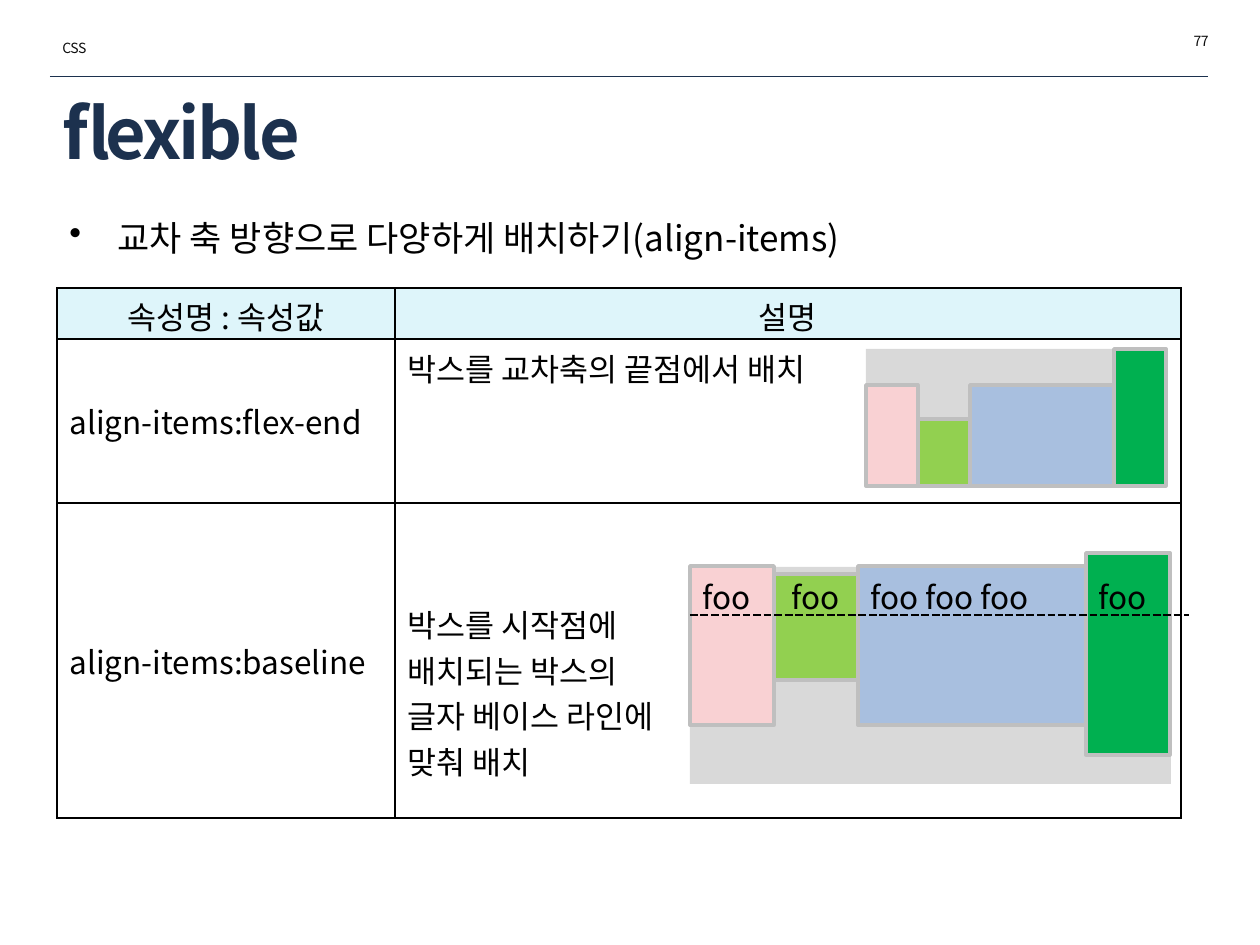
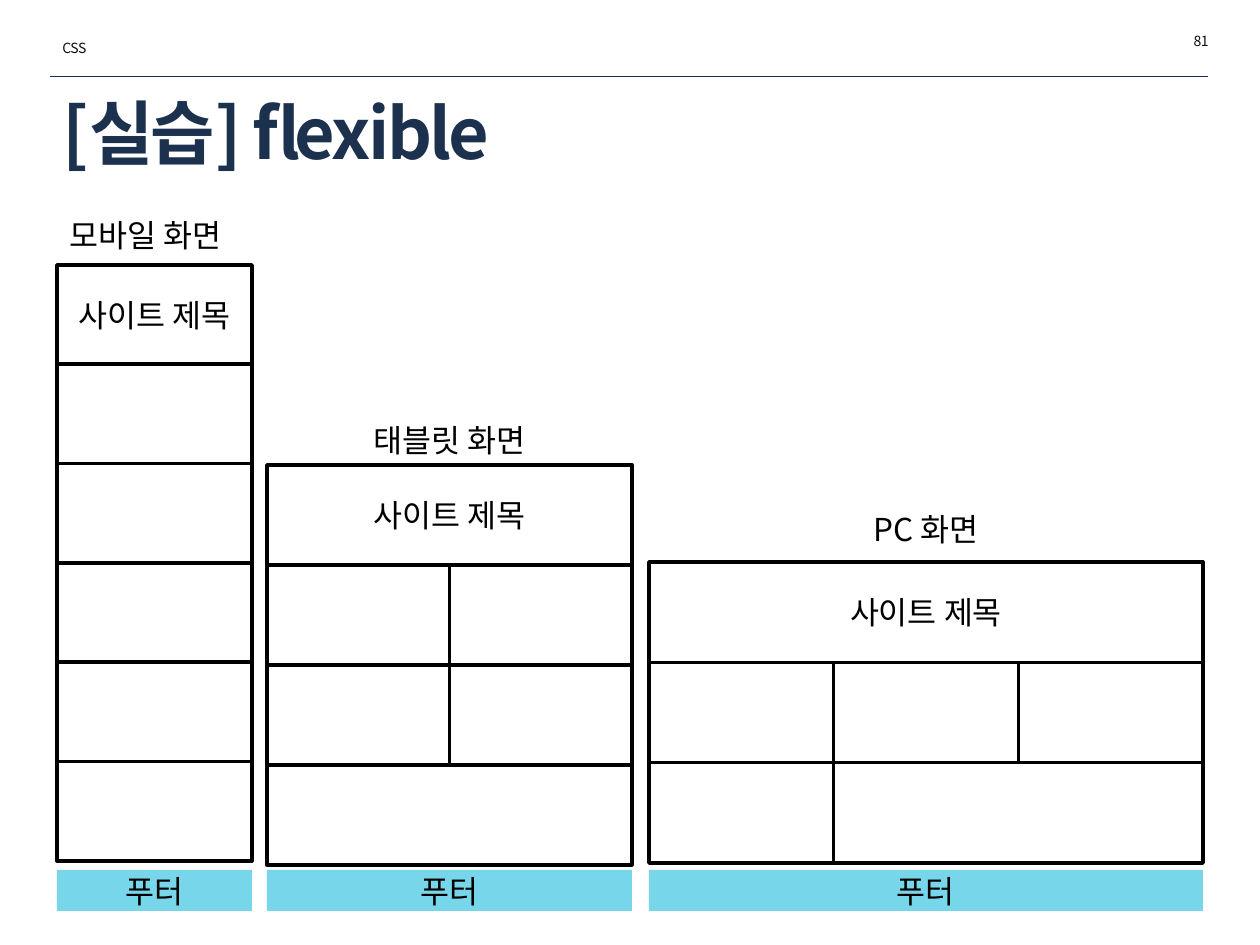
from pptx import Presentation
from pptx.dml.color import RGBColor
from pptx.enum.dml import MSO_LINE
from pptx.enum.shapes import MSO_CONNECTOR, MSO_SHAPE
from pptx.enum.text import MSO_ANCHOR, PP_ALIGN
from pptx.oxml.xmlchemy import OxmlElement
from pptx.util import Emu, Pt

RECT = MSO_SHAPE.RECTANGLE
STRAIGHT = MSO_CONNECTOR.STRAIGHT
DASH = MSO_LINE.SQUARE_DOT
TOP, MIDDLE = MSO_ANCHOR.TOP, MSO_ANCHOR.MIDDLE
LEFT, CENTER, RIGHT = PP_ALIGN.LEFT, PP_ALIGN.CENTER, PP_ALIGN.RIGHT

FONT = "Noto Sans CJK KR"
NAVY = RGBColor(0x1C, 0x31, 0x4E)
INK = RGBColor(0x0D, 0x0D, 0x0D)
BLACK = RGBColor(0, 0, 0)
WHITE = RGBColor(255, 255, 255)
HEAD_FILL = RGBColor(0xDE, 0xF5, 0xFA)
FOOTER_FILL = RGBColor(0x78, 0xD6, 0xEA)
CONTAINER = RGBColor(0xD9, 0xD9, 0xD9)
ITEM_LINE = RGBColor(0xBF, 0xBF, 0xBF)
ITEM_FILLS = [RGBColor(0xF9, 0xD1, 0xD3), RGBColor(0x92, 0xD0, 0x50),
              RGBColor(0xA8, 0xBF, 0xDF), RGBColor(0, 0xB0, 0x50)]
FOOTER_TOP, FOOTER_H = 870, 41
LABEL_H = 50


def px(n):
    return Emu(round(n * 914400 / 126))


def write(tf, text, size=18, color=BLACK, align=LEFT, anchor=TOP, bold=False, spc=0):
    tf.text = text
    tf.word_wrap = True
    tf.vertical_anchor = anchor
    for p in tf.paragraphs:
        p.alignment = align
        for r in p.runs:
            r.font.size, r.font.bold = Pt(size), bold
            r.font.color.rgb = color
            r.font.name = FONT
            rPr = r.font._element
            ea = OxmlElement("a:ea")
            ea.set("typeface", FONT)
            rPr.append(ea)
            if spc:
                rPr.set("spc", str(spc))


def add_text(s, box, text, **style):
    tf = s.shapes.add_textbox(*map(px, box)).text_frame
    write(tf, text, **style)
    return tf


def add_rect(s, box, fill, line=None, text=""):
    sp = s.shapes.add_shape(RECT, *map(px, box))
    sp.shadow.inherit = False
    sp.fill.solid()
    sp.fill.fore_color.rgb = fill
    if line is None:
        sp.line.fill.background()
    else:
        sp.line.color.rgb = line
        sp.line.width = Pt(2)
    if text:
        write(sp.text_frame, text, align=CENTER, anchor=MIDDLE)


def add_line(s, x1, x2, y, color, width):
    c = s.shapes.add_connector(STRAIGHT, px(x1), px(y), px(x2), px(y))
    c.line.color.rgb = color
    c.line.width = Pt(width)
    c._element.spPr.append(OxmlElement("a:effectLst"))
    return c


def add_page(prs, title, number):
    """Slide with the shared running header, rule and title."""
    s = prs.slides.add_slide(prs.slide_layouts[5])
    add_line(s, 50, 1208, 76, NAVY, 0.25)
    sp = s.shapes.title
    sp.left, sp.top, sp.width, sp.height = map(px, (50, 91, 1153, 81))
    write(sp.text_frame, title, size=40, color=NAVY, anchor=MIDDLE, bold=True, spc=-150)
    add_text(s, (1003, 26, 218, 30), number, size=8, color=INK, align=RIGHT, spc=-30)
    add_text(s, (50, 33, 218, 30), "CSS", size=8, color=INK, spc=-30)
    return s


def add_bullet(s, box, text):
    tf = add_text(s, box, text, size=20)
    pPr = tf.paragraphs[0]._p.get_or_add_pPr()
    pPr.set("marL", str(px(48)))
    pPr.set("indent", str(px(-48)))
    bu = OxmlElement("a:buChar")
    bu.set("char", "•")
    pPr.append(bu)


def set_borders(cell):
    tcPr = cell._tc.get_or_add_tcPr()
    for i, side in enumerate(("a:lnL", "a:lnR", "a:lnT", "a:lnB")):
        ln = OxmlElement(side)
        ln.set("w", str(Pt(1)))
        fill = OxmlElement("a:solidFill")
        clr = OxmlElement("a:srgbClr")
        clr.set("val", str(BLACK))
        fill.append(clr)
        ln.append(fill)
        tcPr.insert(i, ln)


def add_property_table(s, left, top):
    col_widths, row_heights = (338, 786), (51, 164, 315)
    rows = [
        ("속성명 : 속성값", "설명"),
        ("align-items:flex-end", "박스를 교차축의 끝점에서 배치"),
        ("align-items:baseline",
         "박스를 시작점에\n배치되는 박스의\n글자 베이스 라인에\n맞춰 배치"),
    ]
    tbl = s.shapes.add_table(3, 2, px(left), px(top), px(sum(col_widths)),
                             px(sum(row_heights))).table
    tbl.first_row = tbl.horz_banding = False
    for col, w in zip(tbl.columns, col_widths):
        col.width = px(w)
    for i, (row, h) in enumerate(zip(tbl.rows, row_heights)):
        row.height = px(h)
        for j, cell in enumerate(row.cells):
            write(cell.text_frame, rows[i][j], align=LEFT if i else CENTER)
            cell.vertical_anchor = MIDDLE if i and j == 0 else TOP
            if i == 0:
                cell.margin_top, cell.margin_bottom = px(5), 0
                cell.fill.solid()
                cell.fill.fore_color.rgb = HEAD_FILL
            else:
                cell.fill.background()
            set_borders(cell)
    tbl.cell(2, 1).margin_top = px(98)


def add_flex_items(s, box, widths, tops, heights):
    """Grey container with its items side by side; returns the items' lefts."""
    left, top = box[:2]
    add_rect(s, box, CONTAINER)
    lefts = [left + sum(widths[:i]) for i in range(len(widths))]
    for x, w, y, h, fill in zip(lefts, widths, tops, heights, ITEM_FILLS):
        add_rect(s, (x, top + y, w, h), fill, ITEM_LINE)
    return lefts


def add_flex_end(s, box):
    heights = (101, 67, 101, 137)
    add_flex_items(s, box, (52, 52, 144, 52), [box[3] - h for h in heights], heights)


def add_baseline(s, box):
    left, top, width, _ = box
    widths = (84, 84, 228, 84)
    lefts = add_flex_items(s, box, widths, (-1, 7, -1, -14), (159, 106, 159, 202))
    labels = ("foo", "foo", "foo foo foo", "foo")
    aligns = (LEFT, CENTER, LEFT, LEFT)
    for x, w, label, align in zip(lefts, widths, labels, aligns):
        add_text(s, (x, top + 5, w, LABEL_H), label, align=align)
    add_line(s, left, left + width + 18, top + 48, BLACK, 1.5).line.dash_style = DASH


def add_screen(s, box, label, label_top, rows, align=CENTER):
    """Wireframe: each row lists the relative widths of its cells."""
    left, top, width, height = box
    add_text(s, (left, label_top, width, LABEL_H), label, align=align)
    row_h = height / len(rows)
    for i, spans in enumerate(rows):
        unit = width / sum(spans)
        for j, span in enumerate(spans):
            add_rect(s, (left + unit * sum(spans[:j]), top + row_h * i, unit * span, row_h),
                     WHITE, BLACK, "사이트 제목" if i == 0 else "")
    add_rect(s, (left, FOOTER_TOP, width, FOOTER_H), FOOTER_FILL, text="푸터")


def build_align_items(prs):
    s = add_page(prs, "flexible", "77")
    add_property_table(s, 57, 288)
    add_bullet(s, (57, 210, 1145, 55), "교차 축 방향으로 다양하게 배치하기(align-items)")
    add_flex_end(s, (866, 349, 301, 137))
    add_baseline(s, (690, 567, 481, 217))


def build_practice(prs):
    s = add_page(prs, "[실습] flexible", "81")
    add_screen(s, (57, 265, 195, 596), "모바일 화면", 210, [[1]] * 6, LEFT)
    add_screen(s, (267, 465, 365, 400), "태블릿 화면", 415, [[1], [1, 1], [1, 1], [1]])
    add_screen(s, (649, 562, 554, 301), "PC 화면", 504, [[1], [1, 1, 1], [1, 2]])


def main():
    prs = Presentation()
    prs.slide_width, prs.slide_height = px(1260), px(945)
    build_align_items(prs)
    build_practice(prs)
    prs.save("out.pptx")


if __name__ == "__main__":
    main()
